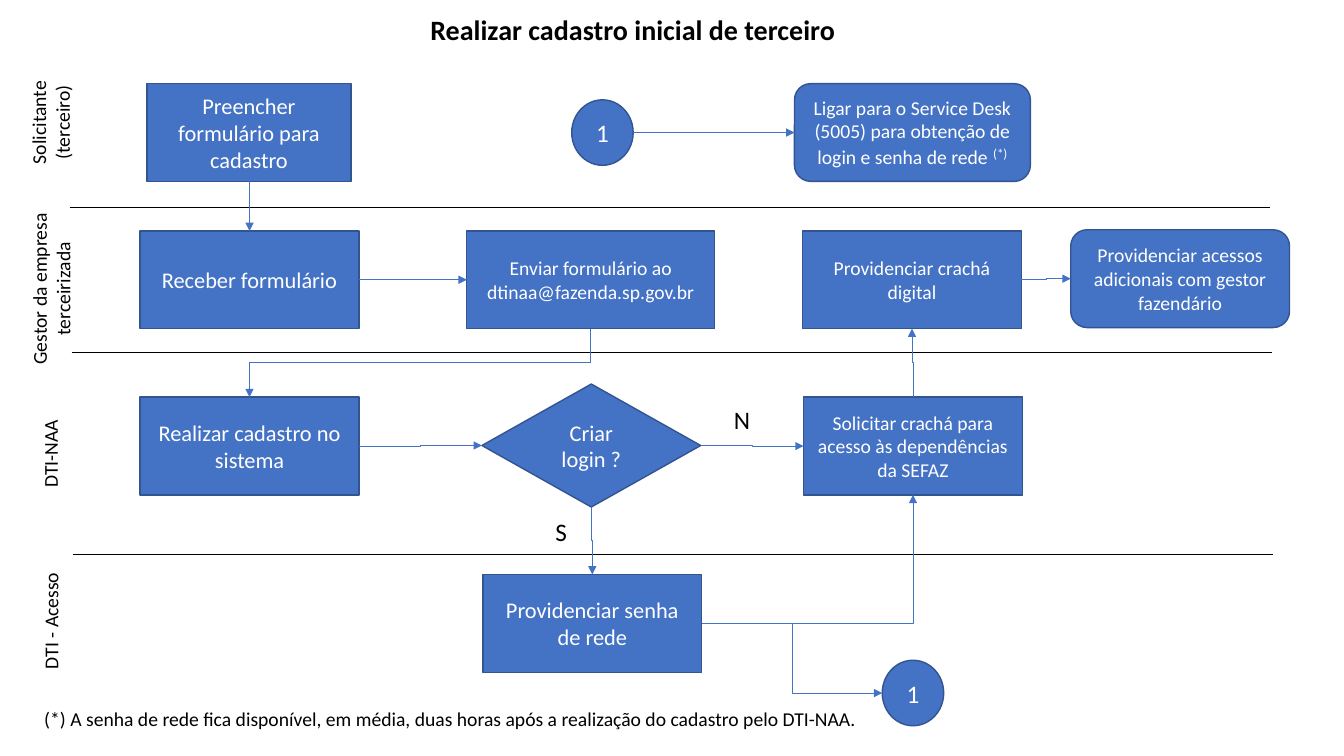
from lxml import etree
from pptx import Presentation, util as u
from pptx.dml.color import RGBColor
from pptx.enum import shapes, text
from pptx.oxml.ns import qn


class Theme:
    font = "Calibri"
    ink = RGBColor(0, 0, 0)
    blue = RGBColor(0x44, 0x72, 0xC4)
    edge = RGBColor(0x32, 0x54, 0x91)
    white = RGBColor(255, 255, 255)
    small, body, large, title = 14, 16, 18, 20
    thin, rim = 0.5, 1


I = u.Inches
KIND = shapes.MSO_SHAPE
ELBOW = shapes.MSO_CONNECTOR.ELBOW
LEFT, MID = text.PP_ALIGN.LEFT, text.PP_ALIGN.CENTER

deck = Presentation()
deck.slide_width, deck.slide_height = I(13.33), I(7.5)
slide = deck.slides.add_slide(deck.slide_layouts[6])


def write(shape, words, size, color, align=MID, bold=False):
    frame = shape.text_frame
    frame.text = words
    for para in frame.paragraphs:
        para.alignment = align
        font = para.font
        font.name, font.size, font.bold = Theme.font, u.Pt(size), bold
        font.color.rgb = color
    return frame


def draw(kind, start, end, color):
    line = slide.shapes.add_connector(kind, *map(I, start + end))
    line.line.color.rgb = color
    line.line.width = u.Pt(Theme.thin)
    etree.SubElement(line._element.spPr, qn("a:effectLst"))
    return line


# Lane dividers
for left, top in [(0.69, 2.06), (0.71, 3.5), (0.72, 5.5)]:
    draw(shapes.MSO_CONNECTOR.STRAIGHT, (left, top), (left + 11.91, top), Theme.ink)

# Lane names, turned to read upwards
lanes = [
    ("Solicitante\n(terceiro)", -0.04, 0.93, 1.08, 0.57),
    ("Gestor da empresa\nterceirizada", -0.35, 2.58, 1.71, 0.57),
    ("DTI-NAA", 0.06, 4.33, 0.88, 0.34),
    ("DTI - Acesso", -0.08, 5.99, 1.17, 0.34),
]
for words, *area in lanes:
    box = slide.shapes.add_textbox(*map(I, area))
    box.rotation = 270
    write(box, words, Theme.small, Theme.ink).word_wrap = False

# Title, branch marks and footnote
note = ("(*) A senha de rede fica disponível, em média, duas horas após "
        "a realização do cadastro pelo DTI-NAA.")
labels = [
    ("Realizar cadastro inicial de terceiro", Theme.title, True, 4.17, 0.07, 4.24, 0.44),
    ("S", Theme.large, False, 5.41, 5.07, 0.32, 0.4),
    ("N", Theme.large, False, 7.18, 3.96, 0.36, 0.4),
    (note, Theme.small, False, 0.34, 6.96, 10.38, 0.34),
]
for words, size, bold, *area in labels:
    box = slide.shapes.add_textbox(*map(I, area))
    frame = write(box, words, size, Theme.ink, LEFT, bold)
    frame.word_wrap = len(words) > 1

# Steps: name, shape, type size, left, top, width, height, words
RECT, ROUND, OVAL = KIND.RECTANGLE, KIND.ROUNDED_RECTANGLE, KIND.OVAL
steps = [
    ("fill", RECT, Theme.body, 1.46, 0.83, 2.02, 0.97,
     "Preencher formulário para\ncadastro"),
    ("start", OVAL, Theme.large, 5.67, 0.99, 0.61, 0.65, "1"),
    ("call", ROUND, Theme.small, 7.88, 0.83, 2.34, 0.97,
     "Ligar para o Service Desk (5005) para obtenção de login e senha de rede"),
    ("get", RECT, Theme.body, 1.39, 2.29, 2.17, 0.97, "Receber formulário"),
    ("send", RECT, Theme.small, 4.63, 2.29, 2.46, 0.97,
     "Enviar formulário ao dtinaa@fazenda.sp.gov.br"),
    ("badge", RECT, Theme.small, 7.96, 2.29, 2.17, 0.97, "Providenciar crachá digital"),
    ("access", ROUND, Theme.small, 10.62, 2.28, 2.17, 0.97,
     "Providenciar acessos adicionais com gestor fazendário"),
    ("enter", RECT, Theme.body, 1.39, 3.94, 2.17, 0.97, "Realizar cadastro no sistema"),
    ("login", KIND.FLOWCHART_DECISION, Theme.body, 4.78, 3.81, 2.17, 1.22, "Criar login ?"),
    ("ask", RECT, Theme.small, 7.97, 3.94, 2.17, 0.97,
     "Solicitar crachá para acesso às dependências da SEFAZ"),
    ("pass", RECT, Theme.body, 4.79, 5.7, 2.17, 0.97, "Providenciar senha de rede"),
    ("jump", OVAL, Theme.large, 8.75, 6.55, 0.61, 0.65, "1"),
]
nodes = {}
for name, kind, size, left, top, width, height, words in steps:
    node = slide.shapes.add_shape(kind, I(left), I(top), I(width), I(height))
    node.shadow.inherit = False
    node.fill.solid()
    node.fill.fore_color.rgb = Theme.blue
    node.line.color.rgb = Theme.edge
    node.line.width = u.Pt(Theme.rim)
    frame = write(node, words, size, Theme.white)
    frame.word_wrap = True
    frame.vertical_anchor = text.MSO_ANCHOR.MIDDLE
    nodes[name] = node

# Raised footnote mark on the call step
para = nodes["call"].text_frame.paragraphs[0]
for words, lift in [(" ", 0), ("(*)", 30000)]:
    run = para.add_run()
    run.text = words
    run.font.size = u.Pt(Theme.body)
    run._r.get_or_add_rPr().set("baseline", str(lift))

# Arrows between steps, by side
TOP, WEST, BASE, EAST = range(4)
links = [
    ("fill", BASE, "get", TOP),
    ("start", EAST, "call", WEST),
    ("get", EAST, "send", WEST),
    ("send", BASE, "enter", TOP),
    ("enter", EAST, "login", WEST),
    ("login", EAST, "ask", WEST),
    ("login", BASE, "pass", TOP),
    ("ask", TOP, "badge", BASE),
    ("badge", EAST, "access", WEST),
    ("pass", EAST, "ask", BASE),
    ("pass", EAST, "jump", WEST),
]
for first, exit, last, entry in links:
    link = draw(ELBOW, (0, 0), (1, 1), Theme.blue)
    link.begin_connect(nodes[first], exit)
    link.end_connect(nodes[last], entry)
    etree.SubElement(link.line._get_or_add_ln(), qn("a:tailEnd"), type="triangle")

    # An oval has eight connection sites, two per side
    ends = link._element.nvCxnSpPr.cNvCxnSpPr
    for name, end in [(first, ends.stCxn), (last, ends.endCxn)]:
        if nodes[name].auto_shape_type == OVAL:
            end.idx *= 2

    if exit in (TOP, BASE):
        # Turn the elbow so that it leaves vertically
        x, y = link.begin_x, link.begin_y
        run, drop = link.end_x - x, link.end_y - y
        frame = link._element.spPr.xfrm
        frame.rot = 90 if drop > 0 else 270
        frame.flipH, frame.flipV = False, run * drop > 0
        link.width, link.height = abs(drop), abs(run)
        link.left = x + (run - abs(drop)) // 2
        link.top = y + (drop - abs(run)) // 2
    elif entry == BASE:
        # A single corner
        link._element.spPr.find(qn("a:prstGeom")).set("prst", "bentConnector2")

deck.save("out.pptx")
